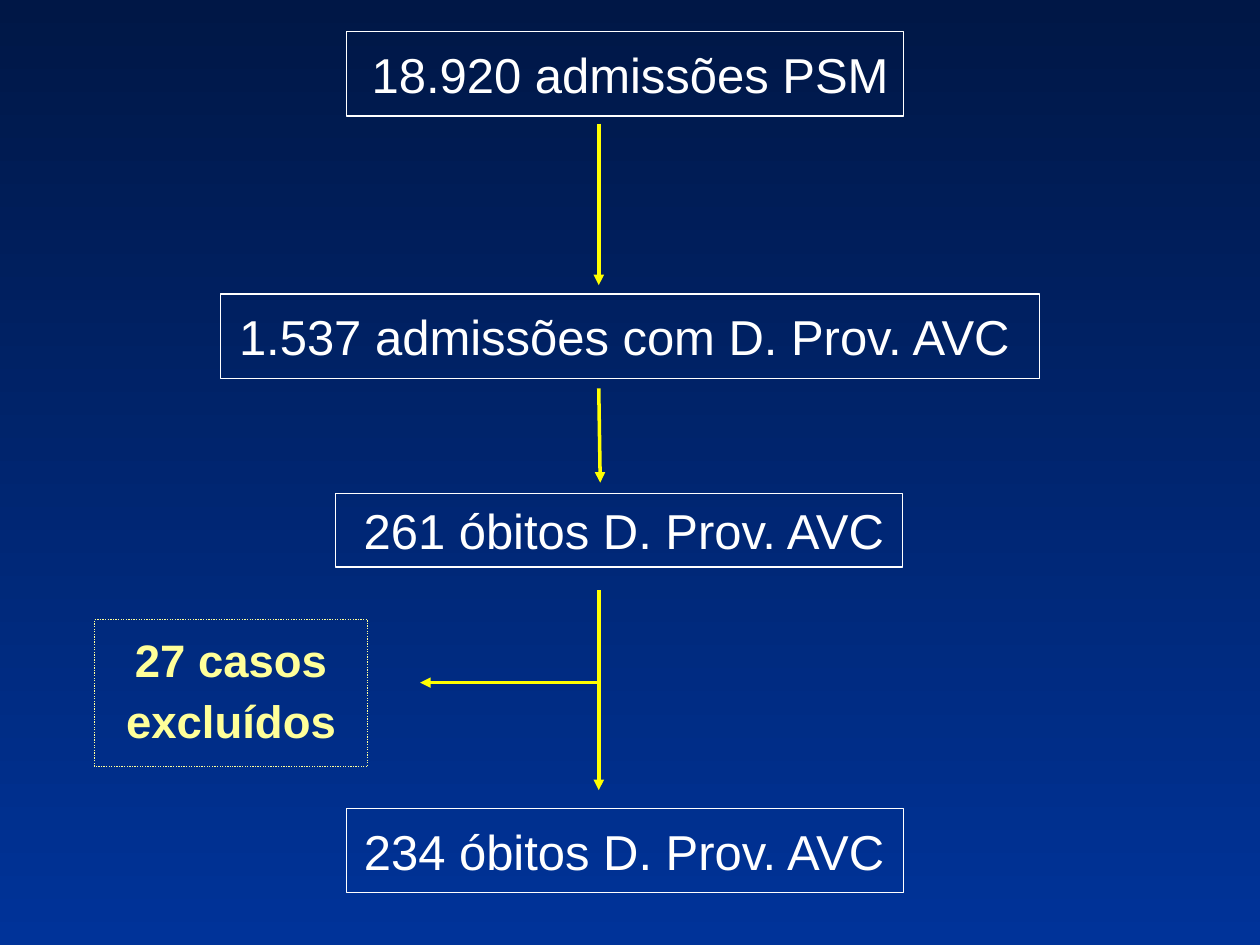
from lxml import etree
from pptx import Presentation
from pptx.dml.color import RGBColor
from pptx.enum.dml import MSO_LINE
from pptx.enum.shapes import MSO_CONNECTOR, MSO_SHAPE
from pptx.enum.text import MSO_ANCHOR, PP_ALIGN
from pptx.oxml.ns import qn
from pptx.util import Cm, Pt

RECT, LINE = MSO_SHAPE.RECTANGLE, MSO_CONNECTOR.STRAIGHT
CENTER, MIDDLE = PP_ALIGN.CENTER, MSO_ANCHOR.MIDDLE
DOT = MSO_LINE.ROUND_DOT

WHITE, CREAM, YELLOW = "FFFFFF", "FFFF99", "FFFF00"
SKY = ("001746", "003399")

# Flow steps: text, left, top, width, height, text shift to the right (cm)
STEPS = [
    ("18.920 admissões PSM", 6.99, 0.64, 11.22, 1.7, 0.1),
    ("1.537 admissões com D. Prov. AVC", 4.45, 5.93, 16.51, 1.7, -0.12),
    ("261 óbitos D. Prov. AVC", 6.77, 9.95, 11.43, 1.48, 0.09),
    ("234 óbitos D. Prov. AVC", 6.99, 16.3, 11.22, 1.7, -0.02),
]
ASIDE = ("27 casos\nexcluídos", 1.91, 12.49, 5.5, 2.97, 0)

# Arrows: start x, start y, end x, end y (cm)
ARROWS = [
    (12.07, 2.49, 12.07, 5.75),
    (12.07, 7.83, 12.1, 9.73),
    (12.07, 11.9, 12.07, 15.93),
    (12.08, 13.76, 8.47, 13.76),
]


def rgb(code):
    return RGBColor.from_string(code)


def write(frame, text, size=28, color=WHITE, bold=False, shift=0):
    frame.word_wrap = True
    frame.vertical_anchor = MIDDLE
    frame.margin_top = frame.margin_bottom = 0
    frame.margin_left = Cm(max(2 * shift, 0))
    frame.margin_right = Cm(max(-2 * shift, 0))
    for i, part in enumerate(text.split("\n")):
        para = frame.add_paragraph() if i else frame.paragraphs[0]
        para.text = part
        para.alignment = CENTER
        para.line_spacing = 0.9 if "\n" in text else 1.0
        para.space_before = Pt(7 if i else 0)
        font = para.font
        font.name, font.size, font.bold = "Arial", Pt(size), bold
        font.color.rgb = rgb(color)


def add_box(slide, row, color=WHITE, dash=None, **style):
    text, *place, shift = row
    box = slide.shapes.add_shape(RECT, *map(Cm, place))
    box.shadow.inherit = False
    box.fill.background()
    box.line.color.rgb = rgb(color)
    box.line.width = Pt(0.75)
    if dash:
        box.line.dash_style = dash
    write(box.text_frame, text, color=color, shift=shift, **style)


def add_arrow(slide, ends):
    arrow = slide.shapes.add_connector(LINE, *map(Cm, ends))
    arrow.line.color.rgb = rgb(YELLOW)
    arrow.line.width = Pt(2)
    etree.SubElement(arrow.line._get_or_add_ln(), qn("a:tailEnd"), type="triangle")
    etree.SubElement(arrow._element.spPr, qn("a:effectLst"))


def main():
    deck = Presentation()
    deck.slide_width, deck.slide_height = Cm(25.4), Cm(19.05)
    slide = deck.slides.add_slide(deck.slide_layouts[6])

    # Background: dark at the top, lighter below
    fill = slide.background.fill
    fill.gradient()
    fill.gradient_angle = 270
    for stop, code in zip(fill.gradient_stops, SKY):
        stop.color.rgb = rgb(code)

    # Arrows, then boxes
    for ends in ARROWS:
        add_arrow(slide, ends)
    for row in STEPS:
        add_box(slide, row)
    add_box(slide, ASIDE, color=CREAM, dash=DOT, size=26, bold=True)

    deck.save("out.pptx")


if __name__ == "__main__":
    main()
